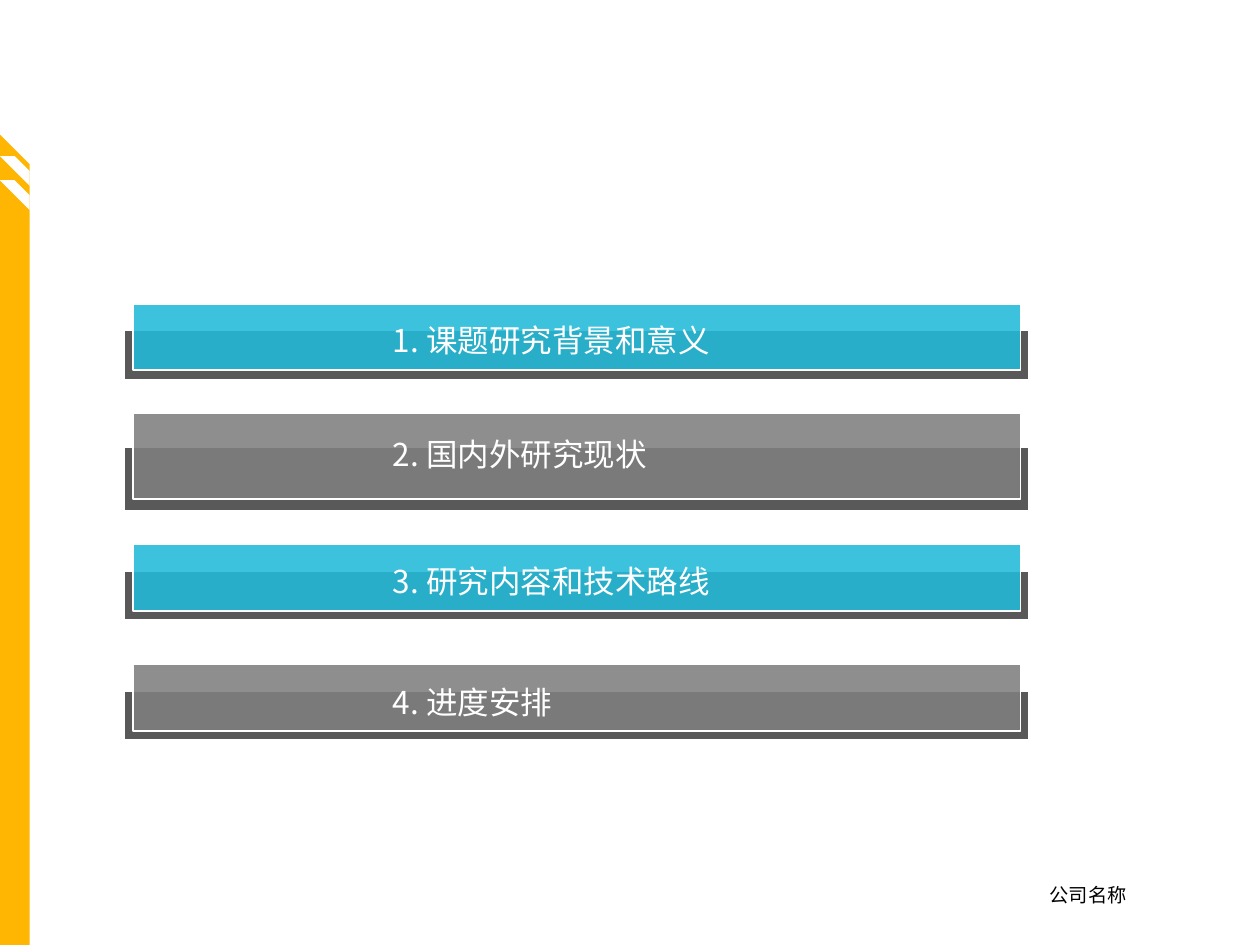
from lxml import etree
from pptx import Presentation
from pptx.dml.color import RGBColor
from pptx.enum import shapes, text
from pptx.oxml import ns
from pptx.util import Pt

COLORS = {
    "amber": "FEB602",
    "white": "FFFFFF",
    "black": "000000",
    "base": "595959",
    "cyan": "22BAD8",
    "gray": "7F7F7F",
}
FONT = "Noto Sans CJK SC"

deck = Presentation()
deck.slide_width, deck.slide_height = Pt(720), Pt(540)
slide = deck.slides.add_slide(deck.slide_layouts[6])


def paint(part, color):
    part.shadow.inherit = False
    part.fill.solid()
    part.fill.fore_color.rgb = RGBColor.from_string(COLORS[color])


def add_label(left, top, width, height, wording, size, color, wrap):
    label = slide.shapes.add_textbox(Pt(left), Pt(top), Pt(width), Pt(height))
    frame = label.text_frame
    frame.word_wrap = wrap
    frame.auto_size = text.MSO_AUTO_SIZE.SHAPE_TO_FIT_TEXT
    frame.text = wording
    run = frame.paragraphs[0].runs[0]
    run.font.size = Pt(size)
    run.font.color.rgb = RGBColor.from_string(COLORS[color])
    run.font.name = FONT
    east_asian = etree.SubElement(run.font._element, ns.qn("a:ea"))
    east_asian.set("typeface", FONT)


side_band = [(0, 77), (17, 94), (17, 540), (0, 540)]
stripes = [
    [(17, top + 8.6), (8.4, top), (0, top), (17, top + 17)]
    for top in (103, 89.2, 75.4)
]
for color, outline in [("amber", side_band)] + [("white", s) for s in stripes]:
    points = [(Pt(x), Pt(y)) for x, y in outline]
    builder = slide.shapes.build_freeform(*points[0])
    builder.add_line_segments(points[1:], close=True)
    band = builder.convert_to_shape()
    paint(band, color)
    band.line.fill.background()

add_label(592.6, 501, 58.3, 21, "公司名称", 11, "black", False)

agenda = [
    ("1. 课题研究背景和意义", "cyan", 173.6, 38, 180),
    ("2. 国内外研究现状", "gray", 236, 49, 244.8),
    ("3. 研究内容和技术路线", "cyan", 311, 38, 317.5),
    ("4. 进度安排", "gray", 379.6, 38, 386.6),
]
for heading, color, top, height, heading_top in agenda:
    layers = [
        (70.8, top + 0.4 * height, 517, 0.74 * height, "base"),
        (76.2, top, 507, height, color),
    ]
    for left, y, width, depth, tint in layers:
        bar = slide.shapes.add_shape(
            shapes.MSO_SHAPE.RECTANGLE, Pt(left), Pt(y), Pt(width), Pt(depth)
        )
        paint(bar, tint)
        bar.line.color.rgb = RGBColor.from_string(COLORS["white"])
        bar.line.width = Pt(1)
    tint_element = bar._element.spPr.find(ns.qn("a:solidFill"))[0]
    etree.SubElement(tint_element, ns.qn("a:alpha")).set("val", "88000")
    add_label(217.4, heading_top, 224, 29, heading, 18, "white", True)

deck.save("out.pptx")
